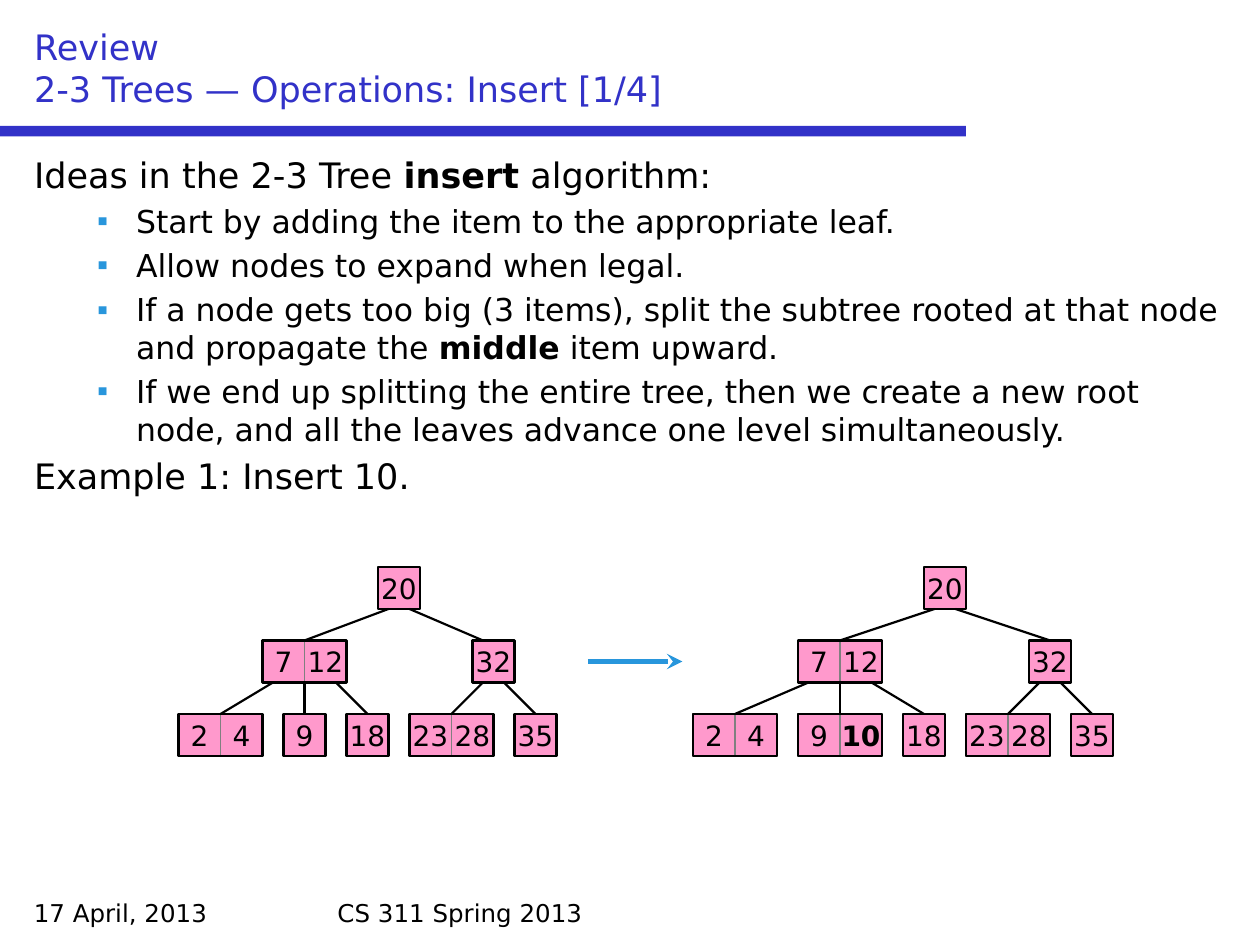
from dataclasses import dataclass
from typing import Optional

from lxml.etree import SubElement
from pptx import Presentation
from pptx.dml.color import RGBColor
from pptx.enum.shapes import MSO_CONNECTOR, MSO_SHAPE
from pptx.enum.text import MSO_ANCHOR, PP_ALIGN
from pptx.oxml.ns import qn
from pptx.util import Inches, Pt

COLORS = {
    "ink": "000000",
    "title": "3232C8",
    "accent": "2896DC",
    "node": "FF99CC",
    "split": "808080",
}
FONT = "DejaVu Sans"
CELL = 4  # cell side, in grid units
ROWS = (54, 61, 68)  # tops of the tree levels, in grid units


@dataclass
class Node:
    left: int
    items: tuple[str, ...]
    kids: tuple["Node", ...] = ()
    tip: Optional[int] = None  # where the edge from the parent ends, if not mid-top

    @property
    def width(self) -> int:
        return CELL * len(self.items)

    @property
    def mid(self) -> int:
        return self.left + self.width // 2


@dataclass
class Point:
    text: str
    level: int = 0


TREES = (
    Node(36, ("20",), (
        Node(25, ("7", "12"), (
            Node(17, ("2", "4")), Node(27, ("9",)), Node(33, ("18",)))),
        Node(45, ("32",), (
            Node(39, ("23", "28")), Node(49, ("35",))), tip=46),
    )),
    Node(88, ("20",), (
        Node(76, ("7", "12"), (
            Node(66, ("2", "4")), Node(76, ("9", "*10*")), Node(86, ("18",)))),
        Node(98, ("32",), (
            Node(92, ("23", "28")), Node(102, ("35",)))),
    )),
)
POINTS = (
    Point("Ideas in the 2-3 Tree *insert* algorithm:"),
    Point("Start by adding the item to the appropriate leaf.", 1),
    Point("Allow nodes to expand when legal.", 1),
    Point("If a node gets too big (3 items), split the subtree rooted at that node "
          "and propagate the *middle* item upward.", 1),
    Point("If we end up splitting the entire tree, then we create a new root node, "
          "and all the leaves advance one level simultaneously.", 1),
    Point("Example 1: Insert 10."),
)


def rgb(name: str) -> RGBColor:
    return RGBColor.from_string(COLORS[name])


def grid(units: float) -> int:
    """Length of grid units, twelve to the inch."""
    return Inches(units / 12)


def write(para, text: str, *, size: float, color: str = "ink", align=None) -> None:
    """Fill a paragraph; *stars* mark bold and a newline is a line break."""
    para.alignment = align
    for row, line in enumerate(text.split("\n")):
        if row:
            para.add_line_break()
        for i, part in enumerate(line.split("*")):
            if part:
                run = para.add_run()
                run.text = part
                font = run.font
                font.name, font.size, font.bold = FONT, Pt(size), i % 2 == 1
                font.color.rgb = rgb(color)
    for gap in para._p.findall(qn("a:br")):
        SubElement(gap, qn("a:rPr"), sz=str(int(size * 100)))


def place(shape, left: float, top: float, width: float, height: float) -> None:
    shape.left, shape.top = Inches(left), Inches(top)
    shape.width, shape.height = Inches(width), Inches(height)


def add_box(shapes, left: float, top: float, width: float, height: float, *,
            fill: Optional[str] = None, line: Optional[str] = None,
            weight: float = 1.25):
    box = shapes.add_shape(MSO_SHAPE.RECTANGLE, grid(left), grid(top),
                           grid(width), grid(height))
    box.shadow.inherit = False
    if fill:
        box.fill.solid()
        box.fill.fore_color.rgb = rgb(fill)
    else:
        box.fill.background()
    if line:
        box.line.color.rgb = rgb(line)
        box.line.width = Pt(weight)
    else:
        box.line.fill.background()
    return box


def add_line(shapes, start: tuple, end: tuple, *, color: str = "ink",
             weight: float = 1.25):
    line = shapes.add_connector(MSO_CONNECTOR.STRAIGHT, *map(grid, start + end))
    line.line.color.rgb = rgb(color)
    line.line.width = Pt(weight)
    SubElement(line._element.spPr, qn("a:effectLst"))
    return line


def add_node(shapes, node: Node, top: int):
    """Draw the cells of a node and return its outer box."""
    pair = len(node.items) > 1
    for i, item in enumerate(node.items):
        box = add_box(shapes, node.left + i * CELL, top, CELL, CELL, fill="node",
                      line="split" if pair else "ink", weight=0.75 if pair else 1.25)
        frame = box.text_frame
        frame.word_wrap = False
        frame.vertical_anchor = MSO_ANCHOR.MIDDLE
        write(frame.paragraphs[0], item, size=16, align=PP_ALIGN.CENTER)
    if pair:
        box = add_box(shapes, node.left, top, node.width, CELL, line="ink")
    return box


def add_tree(shapes, node: Node, depth: int = 0):
    """Draw a subtree with its edges and return the box of its root."""
    top = ROWS[depth]
    box = add_node(shapes, node, top)
    last = len(node.kids) - 1
    for i, kid in enumerate(node.kids):
        below = add_tree(shapes, kid, depth + 1)
        start = node.left + 1 + i * (node.width - 2) // last
        end = kid.tip or kid.mid
        edge = add_line(shapes, (start, top + CELL), (end, ROWS[depth + 1]))
        if start == node.mid:
            edge.begin_connect(box, 2)
        if end == kid.mid:
            edge.end_connect(below, 0)
    return box


def add_point(para, point: Point) -> None:
    para.level = point.level
    props = para._p.get_or_add_pPr()
    margin, hang = (0.81, 0.31) if point.level else (0.38, 0.38)
    props.set("marL", str(Inches(margin)))
    props.set("indent", str(-Inches(hang)))
    if point.level:
        color = SubElement(props, qn("a:buClr"))
        SubElement(color, qn("a:srgbClr"), val=COLORS["accent"])
        SubElement(props, qn("a:buChar"), char="▪")
    else:
        SubElement(props, qn("a:buNone"))
    write(para, point.text, size=18 if point.level else 20)


def main() -> None:
    deck = Presentation()
    deck.slide_width, deck.slide_height = Inches(10), Inches(7.5)
    slide = deck.slides.add_slide(deck.slide_layouts[1])
    shapes = slide.shapes
    title, body = slide.placeholders

    place(title, 0.17, 0.17, 9.67, 0.75)
    title.text_frame.vertical_anchor = MSO_ANCHOR.BOTTOM
    write(title.text_frame.paragraphs[0],
          "Review\n2-3 Trees — Operations: Insert [1/4]",
          size=20, color="title", align=PP_ALIGN.LEFT)
    add_box(shapes, 0, 12, 92, 1, fill="title")

    place(body, 0.17, 1.17, 9.67, 5.83)
    frame = body.text_frame
    for i, point in enumerate(POINTS):
        add_point(frame.add_paragraph() if i else frame.paragraphs[0], point)
    frame.paragraphs[0].space_before = Pt(0)

    for tree in TREES:
        add_tree(shapes, tree)
    arrow = add_line(shapes, (56, 63), (65, 63), color="accent", weight=3)
    SubElement(arrow.line._get_or_add_ln(), qn("a:tailEnd"), type="stealth")

    for text, left, width in (("17 April, 2013", 0.17, 2.33),
                              ("CS 311 Spring 2013", 2.58, 4.83)):
        note = shapes.add_textbox(Inches(left), Inches(7.08), Inches(width), Inches(0.33))
        note.text_frame.word_wrap = True
        write(note.text_frame.paragraphs[0], text, size=14)

    deck.save("out.pptx")


if __name__ == "__main__":
    main()
